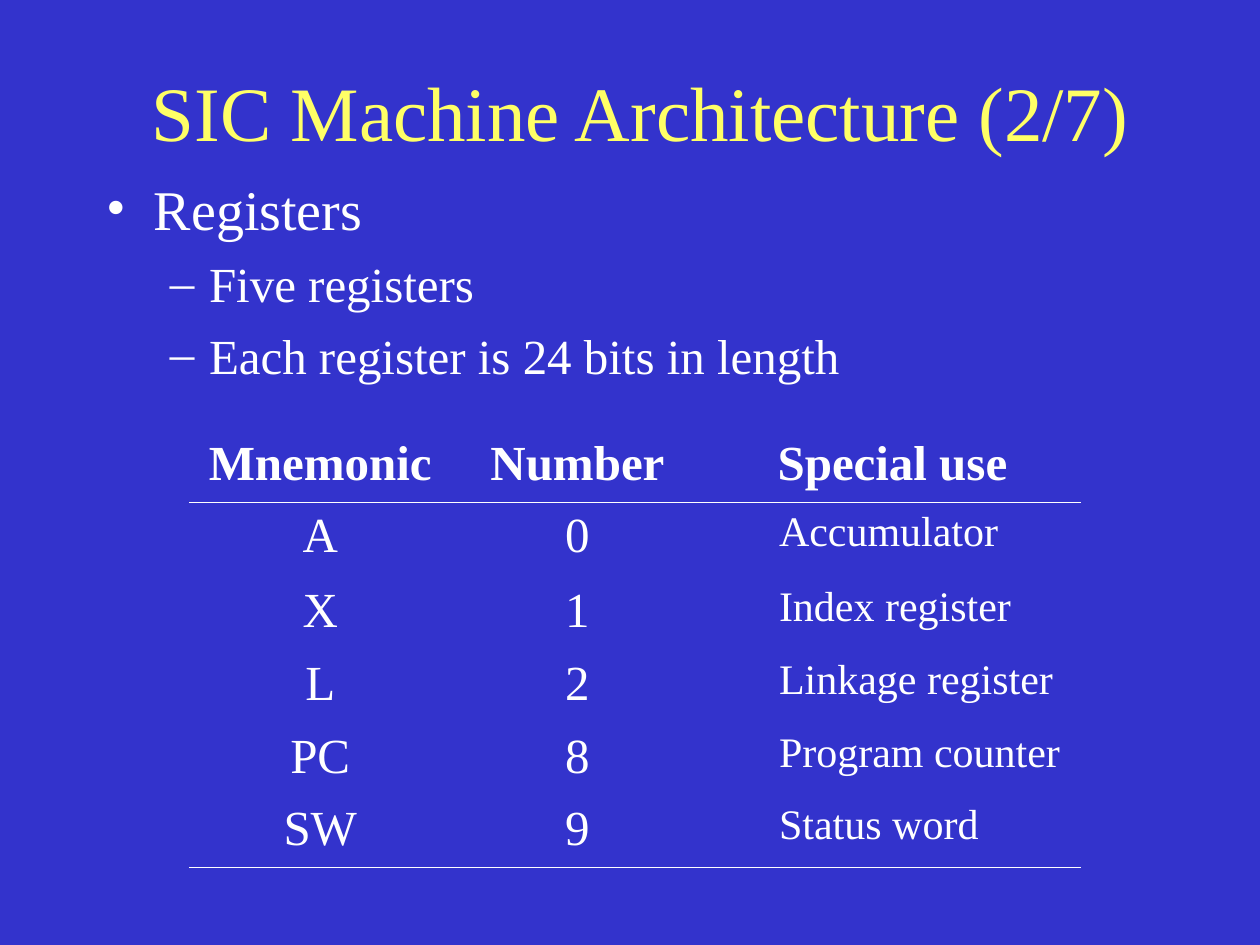
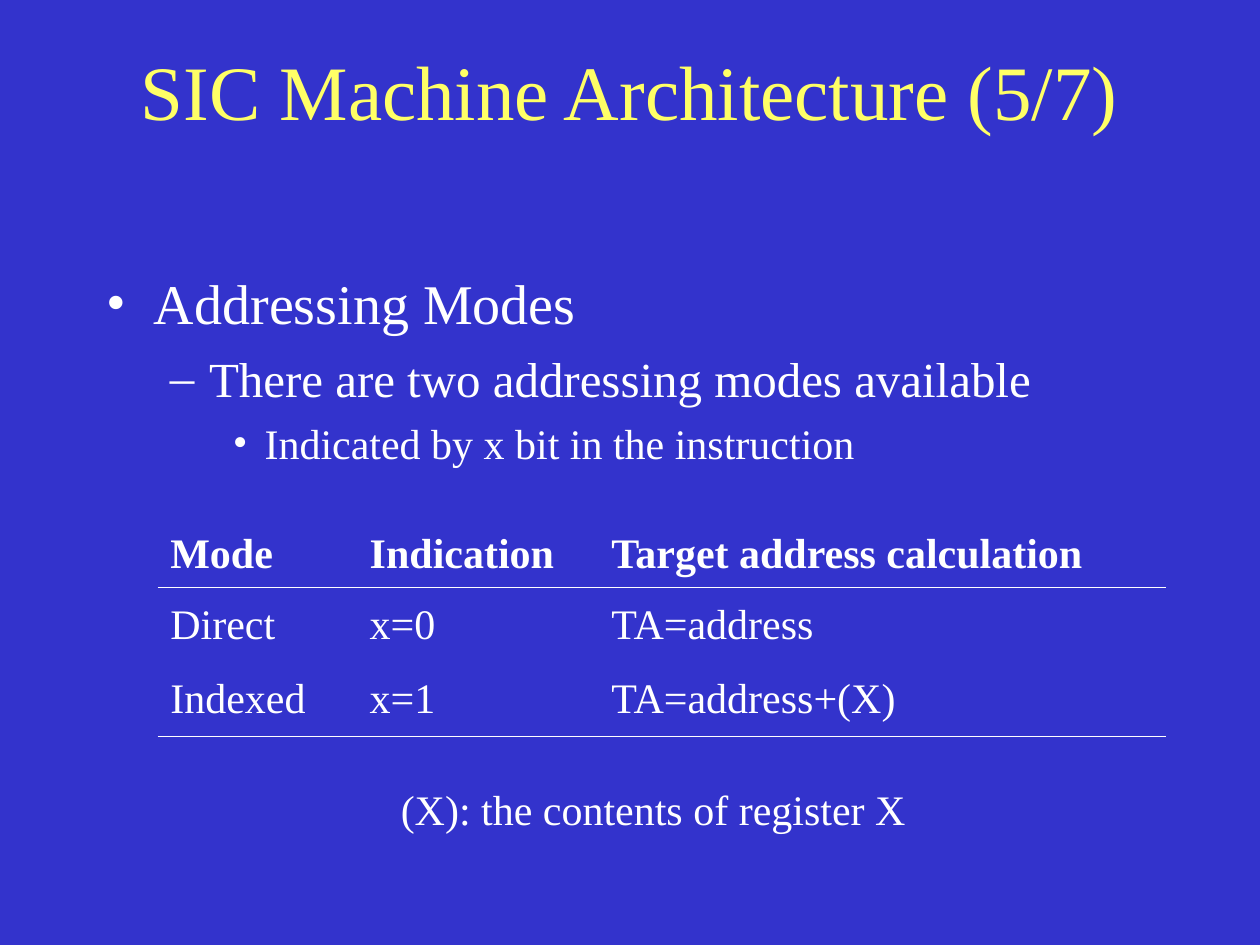
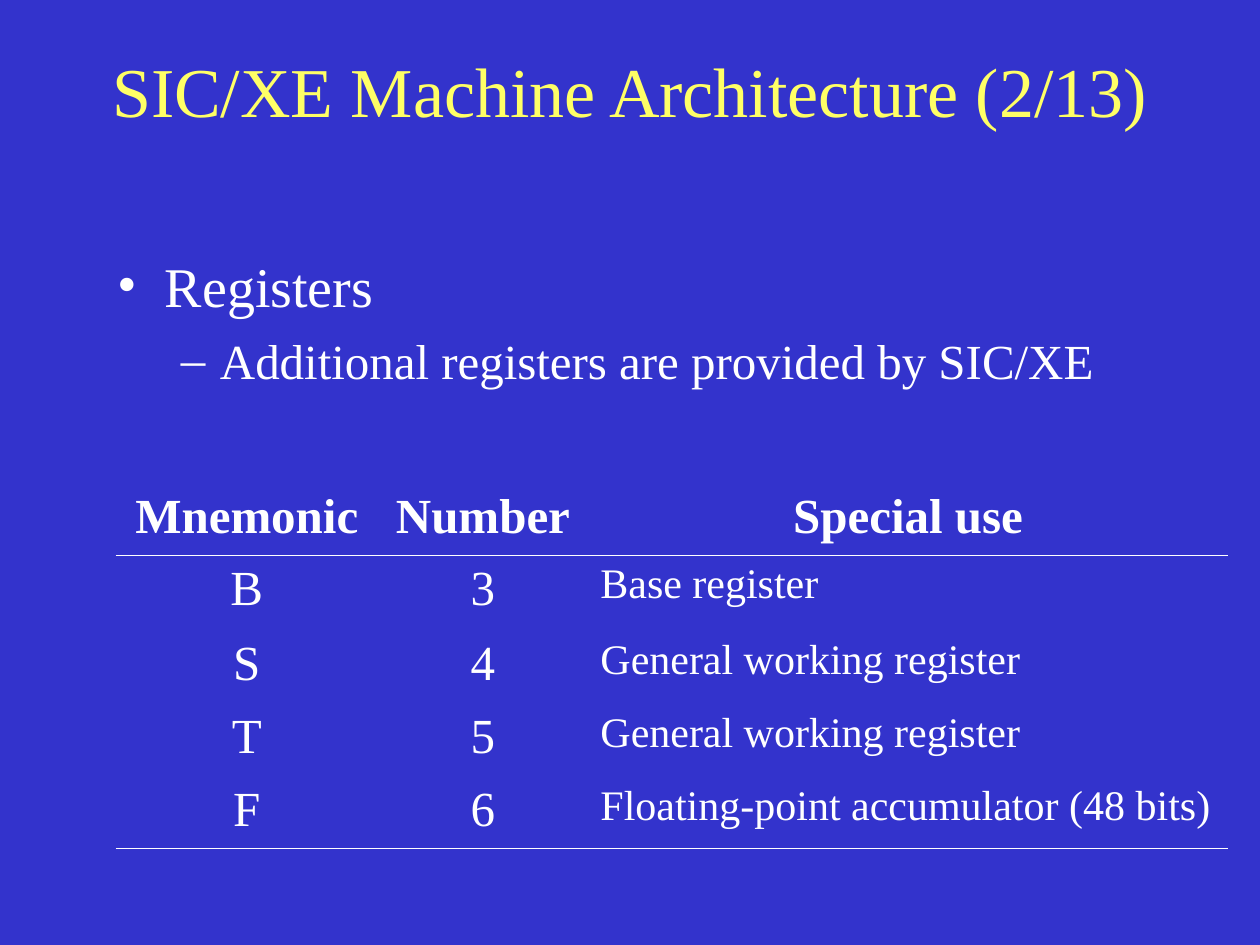
from lxml import etree
from pptx import Presentation
from pptx import util as u
from pptx.dml.color import RGBColor
from pptx.enum import text
from pptx.oxml import ns

BLUE = RGBColor(0x33, 0x33, 0xCC)
YELLOW = RGBColor(0xFF, 0xFF, 0x66)
WHITE = RGBColor(0xFF, 0xFF, 0xFF)
FONT = "Times New Roman"
LEFT, CENTER = text.PP_ALIGN.LEFT, text.PP_ALIGN.CENTER
TOP, MIDDLE = text.MSO_ANCHOR.TOP, text.MSO_ANCHOR.MIDDLE

# Per list level: bullet, text indent, hanging indent (cm), size, space before (pt)
LEVELS = [("•", 0.95, 0.95, 32, 8), ("–", 2.06, 0.79, 28, 7), ("•", 3.18, 0.64, 24, 6)]

# Boxes are left, top, width, height in cm
SLIDES = [
    {
        "title": "SIC Machine Architecture (2/7)", "title_size": 44,
        "title_box": (2.12, 0.64, 21.59, 3.18),
        "body_box": (1.9, 3.39, 21.59, 4.87),
        "body": [(0, "Registers"), (1, "Five registers"),
                 (1, "Each register is 24 bits in length")],
        "table_at": (3.81, 8.68),
        "cols": [5.29, 5.08, 7.62], "rows": [1.45, 1.52, 1.47, 1.47, 1.45, 1.45],
        "head_size": 28, "head_align": CENTER, "anchor": TOP,
        "sizes": [28, 28, 24], "aligns": [CENTER, CENTER, LEFT], "last_indent": 1.27,
        "cells": [("Mnemonic", "Number", "Special use"),
                  ("A", "0", "Accumulator"),
                  ("X", "1", "Index register"),
                  ("L", "2", "Linkage register"),
                  ("PC", "8", "Program counter"),
                  ("SW", "9", "Status word")],
    },
    {
        "title": "SIC Machine Architecture (5/7)", "title_size": 44,
        "title_box": (1.9, 0.64, 21.59, 2.33),
        "body_box": (1.9, 5.29, 21.59, 4.66),
        "body": [(0, "Addressing Modes"),
                 (1, "There are two addressing modes available"),
                 (2, "Indicated by x bit in the instruction")],
        "table_at": (3.18, 10.58),
        "cols": [4.02, 4.87, 11.43], "rows": [1.27, 1.52, 1.47],
        "head_size": 24, "head_align": LEFT, "anchor": MIDDLE,
        "sizes": [24, 24, 24], "aligns": [LEFT, LEFT, LEFT], "last_indent": 0,
        "cells": [("Mode", "Indication", "Target address calculation"),
                  ("Direct", "x=0", "TA=address"),
                  ("Indexed", "x=1", "TA=address+(X)")],
        "note": "(X): the contents of register X",
    },
    {
        "title": "SIC/XE Machine Architecture (2/13)", "title_size": 40,
        "title_box": (1.9, 0.64, 21.59, 2.33),
        "body_box": (2.12, 4.94, 21.59, 3.39),
        "body": [(0, "Registers"), (1, "Additional registers are provided by SIC/XE")],
        "table_at": (2.33, 9.74),
        "cols": [5.29, 4.23, 12.91], "rows": [1.45, 1.52, 1.47, 1.47, 1.45],
        "head_size": 28, "head_align": CENTER, "anchor": TOP,
        "sizes": [28, 28, 24], "aligns": [CENTER, CENTER, LEFT], "last_indent": 0,
        "cells": [("Mnemonic", "Number", "Special use"),
                  ("B", "3", "Base register"),
                  ("S", "4", "General working register"),
                  ("T", "5", "General working register"),
                  ("F", "6", "Floating-point accumulator (48 bits)")],
    },
]


def add_run(p, words, size, color=WHITE, bold=False):
    r = p.add_run()
    r.text = words
    r.font.name, r.font.size, r.font.bold = FONT, u.Pt(size), bold
    r.font.color.rgb = color


def add_element(parent, tag, **attributes):
    return etree.SubElement(parent, ns.qn(tag), **attributes)


prs = Presentation()
prs.slide_width, prs.slide_height = u.Cm(25.4), u.Cm(19.05)

# Shared background
fill = prs.slide_master.background.fill
fill.solid()
fill.fore_color.rgb = BLUE

for data in SLIDES:
    s = prs.slides.add_slide(prs.slide_layouts[1])
    title, body = s.placeholders
    for sp, box, anchor in ((title, data["title_box"], MIDDLE), (body, data["body_box"], TOP)):
        sp.left, sp.top, sp.width, sp.height = [u.Cm(n) for n in box]
        sp.text_frame.auto_size = text.MSO_AUTO_SIZE.NONE
        sp.text_frame.vertical_anchor = anchor

    # Title
    p = title.text_frame.paragraphs[0]
    p.alignment = CENTER
    add_run(p, data["title"], data["title_size"], YELLOW)

    # Bulleted list
    tf = body.text_frame
    for i, (level, words) in enumerate(data["body"]):
        bullet, indent, hanging, size, before = LEVELS[level]
        p = tf.add_paragraph() if i else tf.paragraphs[0]
        p.level = level
        pPr = p._p.get_or_add_pPr()
        pPr.set("marL", str(u.Cm(indent)))
        pPr.set("indent", str(-u.Cm(hanging)))
        add_element(add_element(pPr, "a:buClr"), "a:srgbClr", val=str(WHITE))
        add_element(pPr, "a:buFont", typeface=FONT)
        add_element(pPr, "a:buChar", char=bullet)
        p.space_before = u.Pt(before if i else 0)
        add_run(p, words, size)

    # Table with rules under the header and the last row
    cols, rows = data["cols"], data["rows"]
    left, top = data["table_at"]
    table = s.shapes.add_table(len(rows), len(cols), u.Cm(left), u.Cm(top),
                               u.Cm(sum(cols)), u.Cm(sum(rows))).table
    table.first_row = table.horz_banding = False
    for column, width in zip(table.columns, cols):
        column.width = u.Cm(width)
    last = len(rows) - 1
    for i, height in enumerate(rows):
        table.rows[i].height = u.Cm(height)
        for j, words in enumerate(data["cells"][i]):
            cell = table.cell(i, j)
            tcPr = cell._tc.get_or_add_tcPr()
            ruled = {"a:lnT": i == 1, "a:lnB": i in (0, last)}
            for side in ("a:lnL", "a:lnR", "a:lnT", "a:lnB"):
                ln = add_element(tcPr, side, w=str(u.Pt(0.45)))
                if ruled.get(side):
                    add_element(add_element(ln, "a:solidFill"), "a:srgbClr", val=str(WHITE))
                else:
                    add_element(ln, "a:noFill")
            cell.fill.background()
            cell.vertical_anchor = data["anchor"] if i else TOP
            p = cell.text_frame.paragraphs[0]
            p.alignment = data["aligns"][j] if i else data["head_align"]
            if i and j == len(cols) - 1:
                p._p.get_or_add_pPr().set("marL", str(u.Cm(data["last_indent"])))
            add_run(p, words, data["sizes"][j] if i else data["head_size"], bold=i == 0)

    # Note below the table
    if "note" in data:
        tf = s.shapes.add_textbox(u.Cm(7.83), u.Cm(15.66), u.Cm(10.69), u.Cm(1.27)).text_frame
        tf.word_wrap = False
        tf.auto_size = text.MSO_AUTO_SIZE.SHAPE_TO_FIT_TEXT
        add_run(tf.paragraphs[0], data["note"], 24)

prs.save("out.pptx")
